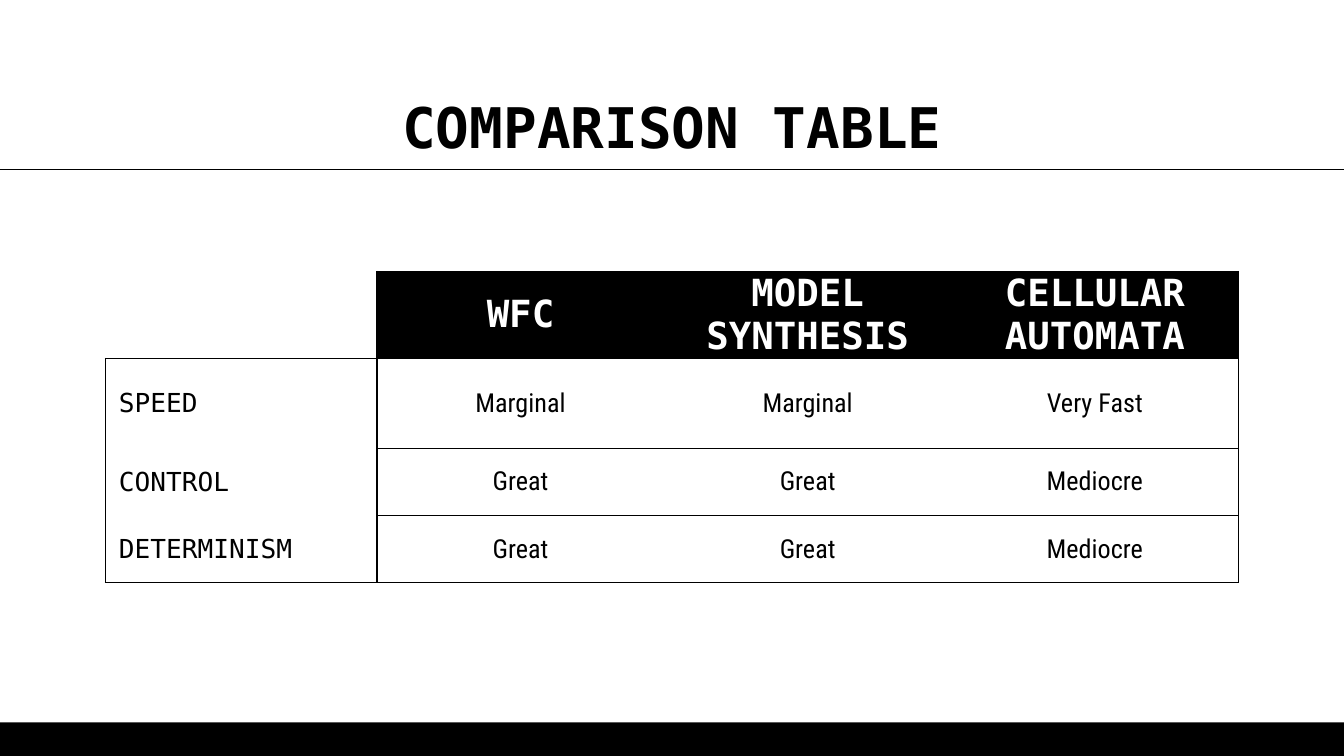
"""Build a slide with a table comparing three generation algorithms."""
from lxml import etree
from pptx import Presentation
from pptx.dml.color import RGBColor
from pptx.enum.shapes import MSO_CONNECTOR, MSO_SHAPE
from pptx.enum.text import MSO_ANCHOR, PP_ALIGN
from pptx.oxml.ns import qn
from pptx.util import Inches, Pt

STRAIGHT = MSO_CONNECTOR.STRAIGHT
RECTANGLE = MSO_SHAPE.RECTANGLE
TOP, MIDDLE = MSO_ANCHOR.TOP, MSO_ANCHOR.MIDDLE
LEFT, CENTER = PP_ALIGN.LEFT, PP_ALIGN.CENTER
COLORS = {"ink": "000000", "paper": "FFFFFF"}
MONO, CONDENSED = "DejaVu Sans Mono", "Roboto Condensed"
LINE_WIDTH = Pt(0.75)

TABLE_WIDTH, TABLE_HEIGHT = 8.43, 3.82
LABEL_WIDTH = 2.02
VALUE_WIDTH = (TABLE_WIDTH - LABEL_WIDTH) / 3
COLUMN_WIDTHS = [LABEL_WIDTH] + [VALUE_WIDTH] * 3
ROW_HEIGHTS = [0.5, 0.67, 0, 0.5, 0, 0.5]
# Each entry: label row, label span, value row, value span, texts
ROWS = [
    (0, 1, 0, 1, ["", "WFC", "MODEL SYNTHESIS", "CELLULAR AUTOMATA"]),
    (1, 1, 1, 2, ["SPEED", "Marginal", "Marginal", "Very Fast"]),
    (2, 2, 3, 2, ["CONTROL", "Great", "Great", "Mediocre"]),
    (4, 2, 5, 1, ["DETERMINISM", "Great", "Great", "Mediocre"]),
]


def style_text(paragraph, font_name, size, color, bold, alignment):
    paragraph.alignment = alignment
    paragraph.font.name = font_name
    paragraph.font.size = Pt(size)
    paragraph.font.bold = bold
    paragraph.font.color.rgb = RGBColor.from_string(COLORS[color])


def set_borders(cell, sides):
    properties = cell._tc.get_or_add_tcPr()
    for side in "LRTB":
        border = etree.SubElement(properties, qn(f"a:ln{side}"), w=str(LINE_WIDTH))
        if side in sides:
            fill = etree.SubElement(border, qn("a:solidFill"))
            etree.SubElement(fill, qn("a:srgbClr"), val=COLORS["ink"])
        else:
            etree.SubElement(border, qn("a:noFill"))


presentation = Presentation()
presentation.slide_width = Inches(10)
presentation.slide_height = presentation.slide_width * 9 // 16
width, height = presentation.slide_width, presentation.slide_height
slide = presentation.slides.add_slide(presentation.slide_layouts[5])

bar_height = Inches(0.25)
footer_bar = slide.shapes.add_shape(RECTANGLE, 0, height - bar_height, width, bar_height)
footer_bar.shadow.inherit = False
footer_bar.fill.solid()
footer_bar.fill.fore_color.rgb = RGBColor.from_string(COLORS["ink"])
footer_bar.line.fill.background()

title = slide.shapes.title
title.left, title.top = Inches(0.78), Inches(0.59)
title.width, title.height = width - 2 * title.left, Inches(0.67)
frame = title.text_frame
frame.text = "COMPARISON TABLE"
frame.word_wrap = True
frame.vertical_anchor = TOP
frame.margin_left = frame.margin_right = Inches(0.1)
frame.margin_top = frame.margin_bottom = Inches(0.1)
style_text(frame.paragraphs[0], MONO, 30, "ink", True, CENTER)

rule_top = title.top + title.height
overhang = Inches(0.02)
title_rule = slide.shapes.add_connector(STRAIGHT, -overhang, rule_top, width + overhang, rule_top)
title_rule.line.color.rgb = RGBColor.from_string(COLORS["ink"])
title_rule.line.width = LINE_WIDTH
etree.SubElement(title_rule._element.spPr, qn("a:effectLst"))

table_frame = slide.shapes.add_table(
    len(ROW_HEIGHTS), len(COLUMN_WIDTHS), (width - Inches(TABLE_WIDTH)) // 2,
    Inches(2.02), Inches(TABLE_WIDTH), Inches(TABLE_HEIGHT))
table = table_frame.table
table.horz_banding = False
for column, column_width in zip(table.columns, COLUMN_WIDTHS):
    column.width = Inches(column_width)
for row, row_height in zip(table.rows, ROW_HEIGHTS):
    row.height = Inches(row_height)
table_frame.height = Inches(TABLE_HEIGHT)

last_column = len(COLUMN_WIDTHS) - 1
for label_row, label_span, value_row, value_span, texts in ROWS:
    is_header = label_row == 0
    for column_index, text in enumerate(texts):
        is_label = column_index == 0
        is_value = not is_header and not is_label
        first_row, span = (label_row, label_span) if is_label else (value_row, value_span)
        end_row = first_row + span - 1
        cell = table.cell(first_row, column_index)
        if span > 1:
            cell.merge(table.cell(end_row, column_index))

        if is_label:
            sides = "R" if is_header else "LR"
            sides += "B" if end_row in (0, len(ROW_HEIGHTS) - 1) else ""
            sides += "T" if first_row == 1 else ""
        else:
            sides = "TB"
            sides += "L" if column_index == 1 else ""
            sides += "R" if column_index == last_column else ""
        set_borders(cell, sides)

        if is_header != is_label:
            cell.fill.solid()
            background = "ink" if is_header else "paper"
            cell.fill.fore_color.rgb = RGBColor.from_string(COLORS[background])
        else:
            cell.fill.background()

        cell.vertical_anchor = MIDDLE
        cell.margin_left = cell.margin_right = Inches(0.05 if is_value else 0.1)
        cell.margin_top = cell.margin_bottom = 0
        cell.text = text
        style_text(cell.text_frame.paragraphs[0], CONDENSED if is_value else MONO,
                   20 if is_header else 14, "paper" if is_header else "ink",
                   is_header, LEFT if is_label else CENTER)

presentation.save("out.pptx")
